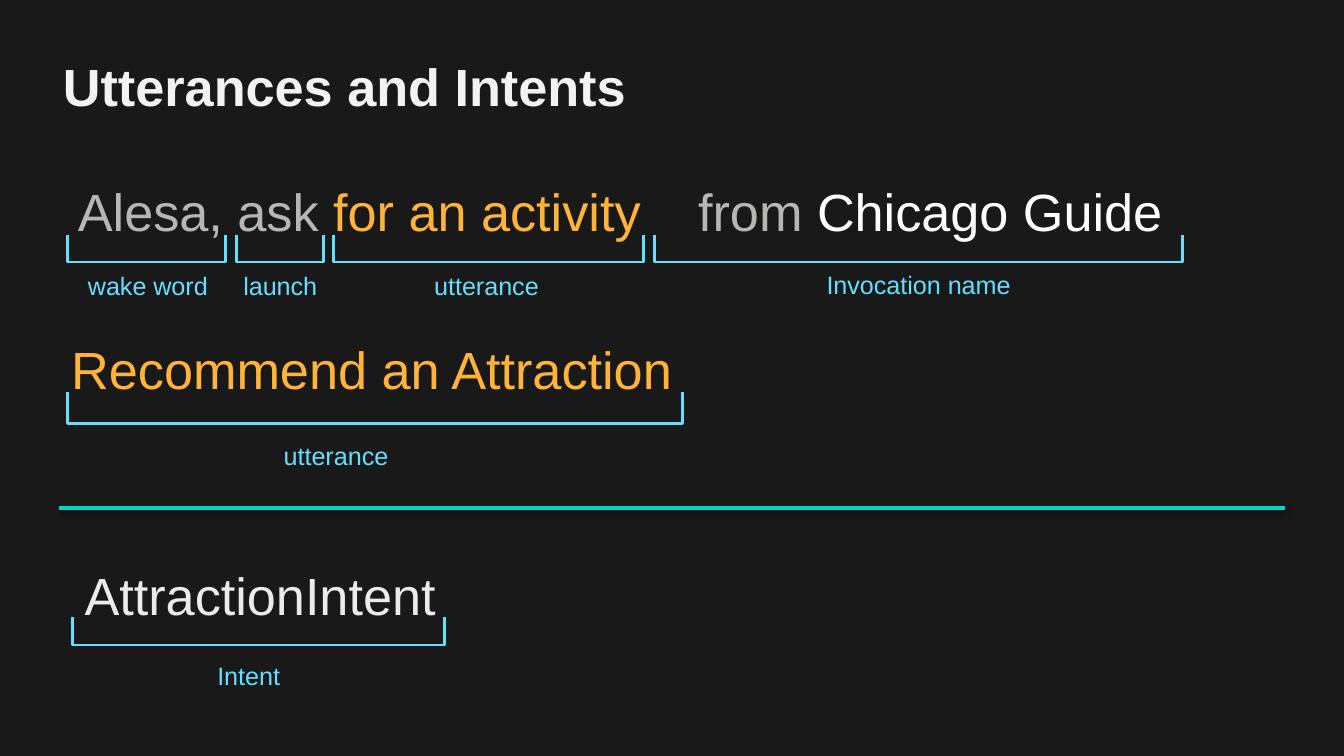
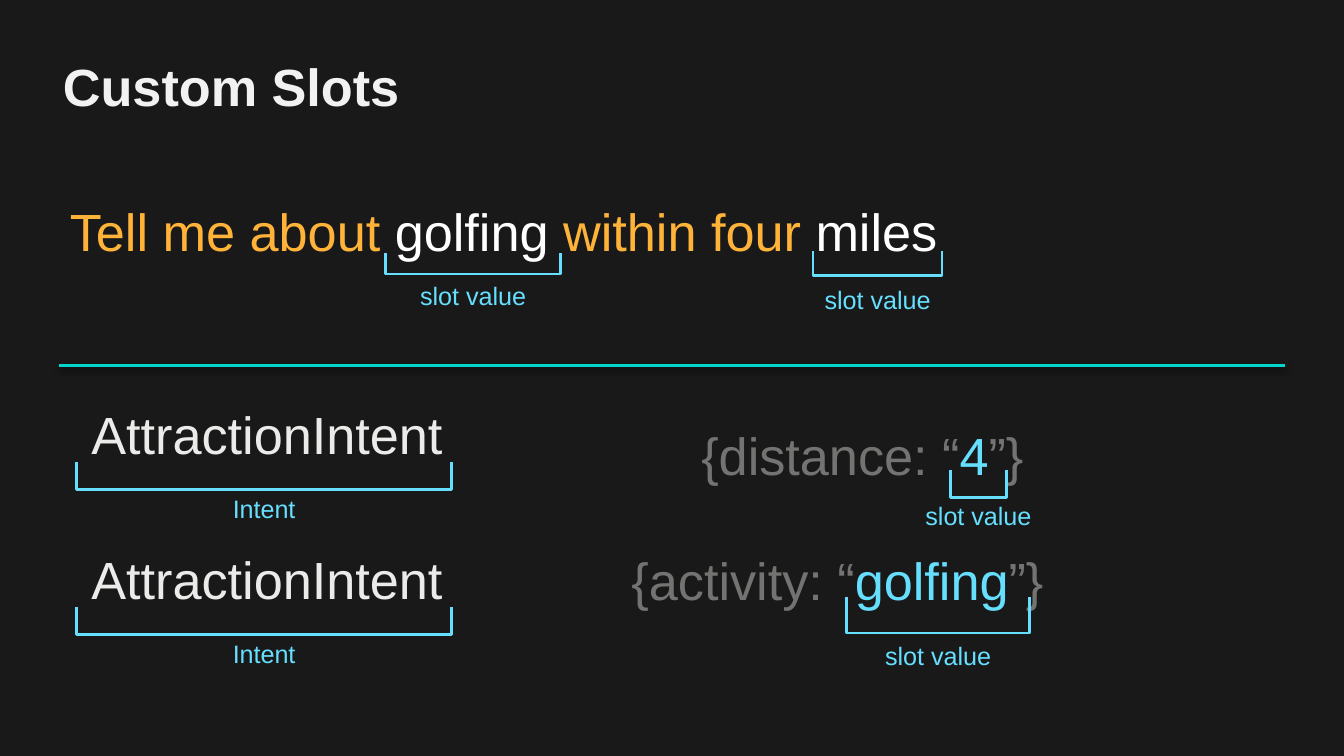
from dataclasses import dataclass

from lxml.etree import SubElement
from pptx import Presentation
from pptx.dml.color import RGBColor
from pptx.enum.shapes import MSO_CONNECTOR
from pptx.enum.text import MSO_ANCHOR as Anchor, PP_ALIGN as Align
from pptx.oxml.ns import qn
from pptx.util import Inches, Pt


@dataclass(frozen=True)
class Theme:
    background: str = "191919"
    title: str = "F2F2F2"
    white: str = "FFFFFF"
    intent: str = "EBEBEA"
    muted: str = "B6B6B5"
    dim: str = "737472"
    amber: str = "FFB339"
    sky: str = "66DFFF"
    teal: str = "00D6CB"
    font: str = "Arial"
    large: float = 28
    small: float = 13.5
    bracket_line: float = 1.5
    divider_line: float = 2


theme = Theme()

presentation = Presentation()
presentation.slide_width = Inches(10)
presentation.slide_height = presentation.slide_width * 9 // 16
CELL = presentation.slide_width // 100  # square grid, 100 columns wide
MARGIN = 4.4
LABEL_HEIGHT = 2.9

# size, bold, alignment, side inset and top inset in grid cells
STYLES = {
    "title": (theme.large, True, Align.LEFT, 1, 0.5),
    "phrase": (theme.large, False, Align.LEFT, 0.3, 0.3),
    "centred": (theme.large, False, Align.CENTER, 0.3, 0.3),
    "slot": (theme.large, False, Align.LEFT, 1, 0.5),
    "label": (theme.small, False, Align.CENTER, 0.3, 0.3),
}


def add_text(slide, style, box, runs, tab=None):
    """Write (text, colour) runs in a box given in grid cells."""
    size, bold, alignment, side, top = STYLES[style]
    frame = slide.shapes.add_textbox(*(round(CELL * value) for value in box)).text_frame
    settings = {
        "word_wrap": True, "vertical_anchor": Anchor.MIDDLE,
        "margin_left": round(CELL * side), "margin_right": round(CELL * side),
        "margin_top": round(CELL * top), "margin_bottom": round(CELL * top),
    }
    for name, value in settings.items():
        setattr(frame, name, value)
    paragraph = frame.paragraphs[0]
    paragraph.alignment = alignment
    if tab:
        tabs = SubElement(paragraph._p.get_or_add_pPr(), qn("a:tabLst"))
        SubElement(tabs, qn("a:tab"), pos=str(round(CELL * tab)), algn="l")
    for text, colour in runs:
        run = paragraph.add_run()
        run.text = text
        for name, value in {"name": theme.font, "size": Pt(size), "bold": bold}.items():
            setattr(run.font, name, value)
        run.font.color.rgb = RGBColor.from_string(colour)


def add_bracket(slide, left, right, top, bottom, label, label_top, label_width=11.2, shift=0):
    """Draw an open bracket and centre its label below it, moved by shift."""
    corners = [(round(CELL * x), round(CELL * y))
               for x, y in ((left, top), (left, bottom), (right, bottom), (right, top))]
    builder = slide.shapes.build_freeform(*corners[0])
    builder.add_line_segments(corners[1:], close=False)
    bracket = builder.convert_to_shape()
    bracket.shadow.inherit = False
    bracket.fill.background()
    bracket.line.color.rgb = RGBColor.from_string(theme.sky)
    bracket.line.width = Pt(theme.bracket_line)
    label_left = (left + right - label_width) / 2 + shift
    add_text(slide, "label", (label_left, label_top, label_width, LABEL_HEIGHT),
             [(label, theme.sky)])


intent_runs = [("AttractionIntent", theme.intent)]

utterances = {
    "title": "Utterances and Intents",
    "divider": 37.8,
    "texts": [
        ("phrase", (5.5, 13, 88, 5.3),
         [("Alesa, ask ", theme.muted), ("for an activity\t", theme.amber),
          ("from", theme.muted), (" Chicago Guide", theme.white)], 46.15),
        ("phrase", (5, 24.8, 84.3, 5.3), [("Recommend an Attraction", theme.amber)]),
        ("centred", (2.3, 41.6, 34.1, 5.3), intent_runs),
    ],
    "brackets": [
        (5, 16.8, 17.5, 19.5, "wake word", 19.8, 11.2, 0.1),
        (17.6, 24.1, 17.5, 19.5, "launch", 19.8),
        (24.8, 47.9, 17.5, 19.5, "utterance", 19.8, 11.2, -0.15),
        (48.7, 88, 17.5, 19.5, "Invocation name", 19.7, 23),
        (5, 50.8, 29.2, 31.5, "utterance", 32.4, 11.2, -2.9),
        (5.4, 33.1, 45.9, 48, "Intent", 48.8, 11.2, -0.75),
    ],
}

slots = {
    "title": "Custom Slots",
    "divider": 27.2,
    "texts": [
        ("phrase", (4.9, 14.5, 84.3, 5.3),
         [("Tell me about ", theme.amber), ("golfing", theme.white),
          (" within four ", theme.amber), ("miles", theme.white)]),
        ("slot", (51.2, 31, 26.3, 5.7),
         [("{distance: “", theme.dim), ("4", theme.sky), ("”}", theme.dim)]),
        ("slot", (46, 40.3, 33.1, 5.7),
         [("{activity: “", theme.dim), ("golfing", theme.sky), ("”}", theme.dim)]),
    ],
    "brackets": [
        (28.7, 41.7, 18.8, 20.4, "slot value", 20.5),
        (60.5, 70.1, 18.7, 20.5, "slot value", 20.8, 9.7),
        (70.7, 74.9, 35, 37, "slot value", 36.9, 25.8),
        (63, 76.6, 44.4, 47.1, "slot value", 47.3, 25.8),
    ],
}
for intent_top in (29.6, 40.4):
    slots["texts"].append(("phrase", (6.5, intent_top, 27.1, 5.3), intent_runs))
    slots["brackets"].append(
        (5.7, 33.6, intent_top + 4.8, intent_top + 6.8, "Intent", intent_top + 6.8))

for content in (utterances, slots):
    slide = presentation.slides.add_slide(presentation.slide_layouts[6])
    slide.background.fill.solid()
    slide.background.fill.fore_color.rgb = RGBColor.from_string(theme.background)
    add_text(slide, "title", (3.7, 3.4, 89.7, 5.9), [(content["title"], theme.title)])

    divider_ends = (MARGIN, content["divider"], 100 - MARGIN, content["divider"])
    divider = slide.shapes.add_connector(
        MSO_CONNECTOR.STRAIGHT, *(round(CELL * value) for value in divider_ends))
    divider.line.color.rgb = RGBColor.from_string(theme.teal)
    divider.line.width = Pt(theme.divider_line)
    effects = SubElement(divider._element.spPr, qn("a:effectLst"))
    shadow = SubElement(effects, qn("a:outerShdw"), blurRad=str(Pt(3.1)), dist=str(Pt(1.6)),
                        dir="5400000", rotWithShape="0")
    shade = SubElement(shadow, qn("a:srgbClr"), val="000000")
    SubElement(shade, qn("a:alpha"), val="38000")

    for text in content["texts"]:
        add_text(slide, *text)
    for bracket_values in content["brackets"]:
        add_bracket(slide, *bracket_values)

presentation.save("out.pptx")
